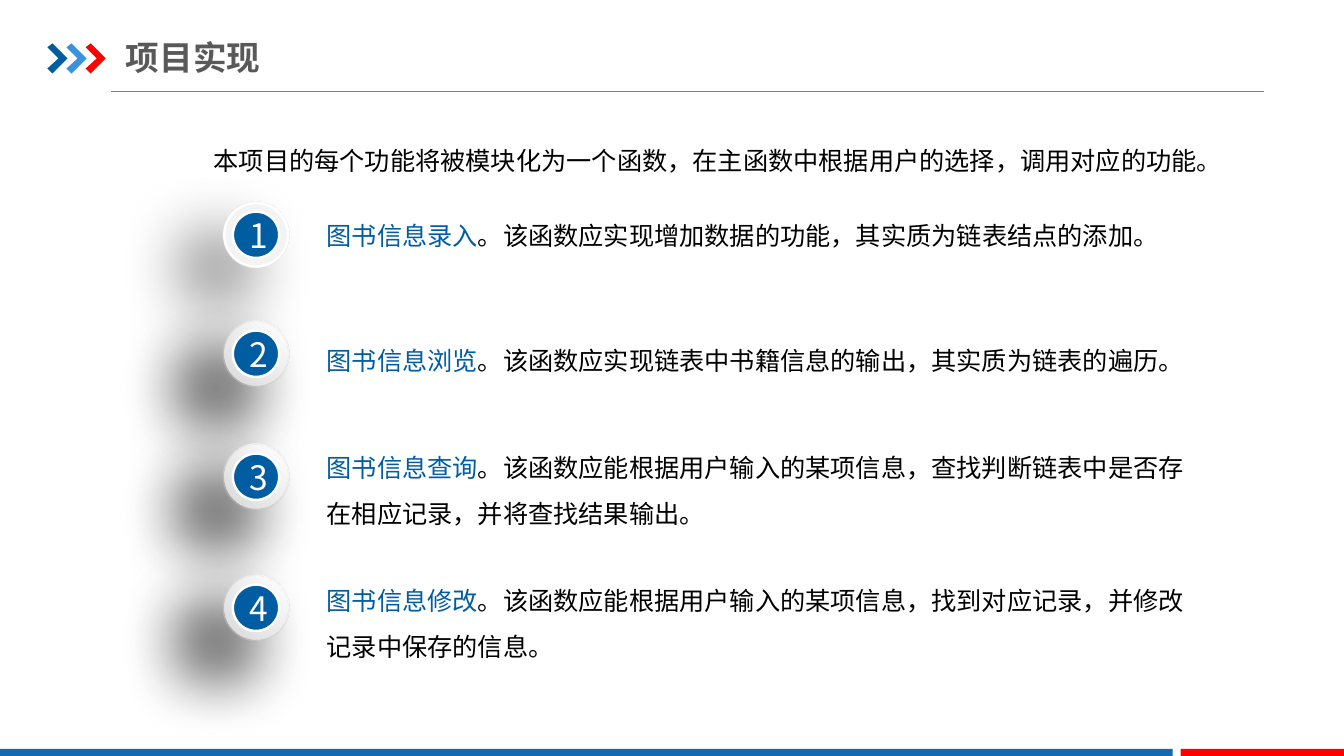
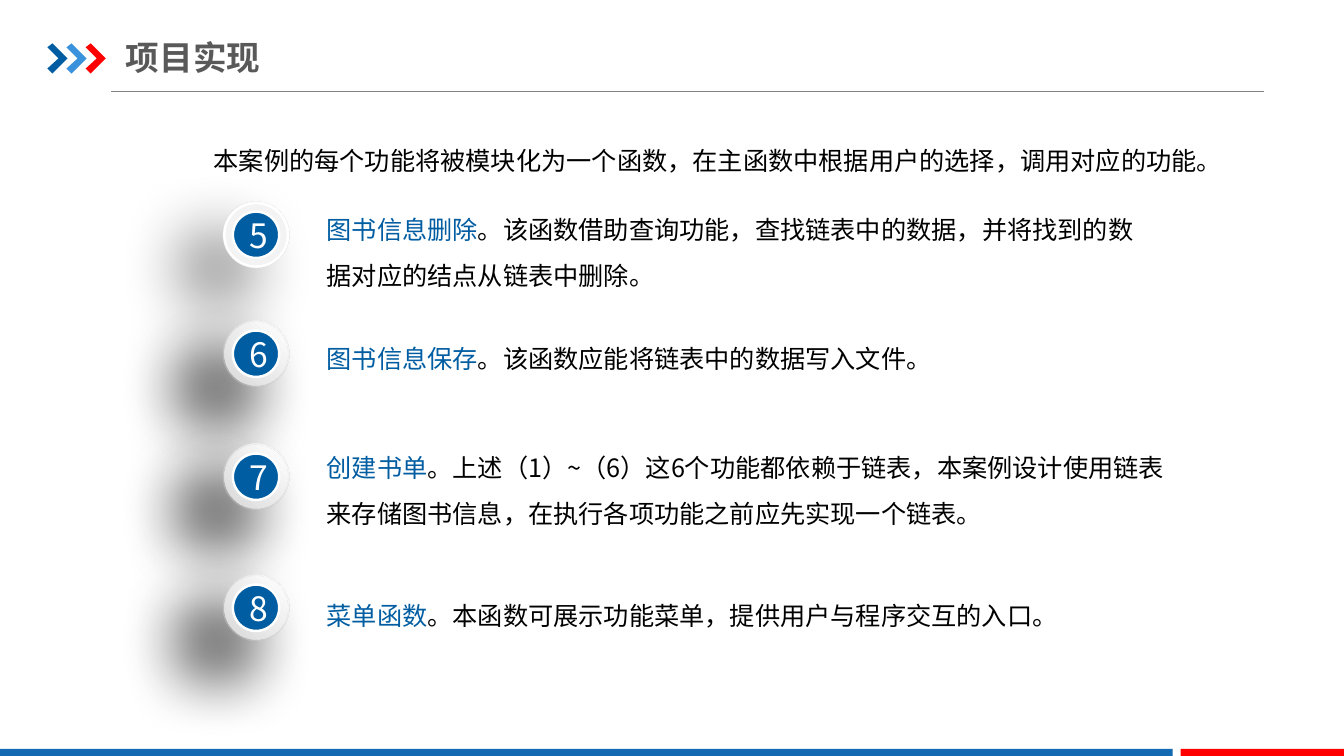
from lxml import etree
from pptx import Presentation
from pptx.dml.color import RGBColor
from pptx.enum.shapes import MSO_CONNECTOR, MSO_SHAPE
from pptx.enum.text import MSO_ANCHOR, PP_ALIGN
from pptx.oxml import parse_xml
from pptx.oxml.ns import nsdecls, qn
from pptx.util import Inches, Pt

FONT = "Noto Sans CJK SC"
BLUE = RGBColor(0x00, 0x5D, 0xA2)
LIGHT_BLUE = RGBColor(0x39, 0x92, 0xDB)
FOOTER_BLUE = RGBColor(0x13, 0x69, 0xB2)
RED = RGBColor(0xFF, 0x00, 0x00)
TITLE_GREY = RGBColor(0x59, 0x59, 0x59)
RULE_GREY = RGBColor(0x80, 0x80, 0x80)
RING_GREY = RGBColor(0xD9, 0xD9, 0xD9)
PALE_GREY = RGBColor(0xF3, 0xF3, 0xF3)
WHITE = RGBColor(0xFF, 0xFF, 0xFF)
BLACK = RGBColor(0x00, 0x00, 0x00)

TITLE = "项目实现"
BADGE_CENTER_X = 2.54
BADGE_CENTERS_Y = (2.33, 3.51, 4.73, 6.03)

# Each slide: intro, first number, items as (top, width, heading, description)
SLIDES = [
    ("本项目的每个功能将被模块化为一个函数，在主函数中根据用户的选择，调用对应的功能。", 1, [
        (1.97, 8.31, "图书信息录入", "。该函数应实现增加数据的功能，其实质为链表结点的添加。"),
        (3.21, 8.76, "图书信息浏览", "。该函数应实现链表中书籍信息的输出，其实质为链表的遍历。"),
        (4.27, 8.76, "图书信息查询",
         "。该函数应能根据用户输入的某项信息，查找判断链表中是否存在相应记录，并将查找结果输出。"),
        (5.59, 8.76, "图书信息修改",
         "。该函数应能根据用户输入的某项信息，找到对应记录，并修改记录中保存的信息。"),
    ]),
    ("本案例的每个功能将被模块化为一个函数，在主函数中根据用户的选择，调用对应的功能。", 5, [
        (1.91, 8.31, "图书信息删除",
         "。该函数借助查询功能，查找链表中的数据，并将找到的数据对应的结点从链表中删除。"),
        (3.19, 8.76, "图书信息保存", "。该函数应能将链表中的数据写入文件。"),
        (4.27, 8.76, "创建书单",
         "。上述（1）~（6）这6个功能都依赖于链表，本案例设计使用链表来存储图书信息，"
         "在执行各项功能之前应先实现一个链表。"),
        (5.74, 8.76, "菜单函数", "。本函数可展示功能菜单，提供用户与程序交互的入口。"),
    ]),
]


def add_run(p, text, size, color, bold=False):
    r = p.add_run()
    r.text = text
    r.font.size, r.font.name, r.font.bold = Pt(size), FONT, bold
    r.font.color.rgb = color
    etree.SubElement(r.font._element, qn("a:ea")).set("typeface", FONT)


def add_text(s, left, top, width, height, runs, size, inset=0.13,
             anchor=MSO_ANCHOR.TOP, spacing=None, bold=False):
    tf = s.shapes.add_textbox(Inches(left), Inches(top), Inches(width), Inches(height)).text_frame
    tf.word_wrap = True
    tf.vertical_anchor = anchor
    tf.margin_left = tf.margin_right = Inches(inset)
    tf.margin_top = tf.margin_bottom = Inches(0.07)
    p = tf.paragraphs[0]
    p.line_spacing = spacing
    for text, color in runs:
        add_run(p, text, size, color, bold)


def paint(sp, fill, line=None):
    sp.shadow.inherit = False
    sp.fill.solid()
    sp.fill.fore_color.rgb = fill
    if line is None:
        sp.line.fill.background()
    else:
        sp.line.color.rgb = line
        sp.line.width = Pt(1.75)


def paint_raised(sp):
    """Radial white-to-grey fill with a soft shadow at the lower left."""
    sp.line.fill.background()
    sp.fill.gradient()
    for stop, color in zip(sp.fill.gradient_stops, (WHITE, RING_GREY)):
        stop.color.rgb = color
    grad = sp._element.spPr.find(qn("a:gradFill"))
    grad.remove(grad.find(qn("a:lin")))
    grad.append(parse_xml(
        f'<a:path {nsdecls("a")} path="circle"><a:fillToRect l="100000" b="100000"/></a:path>'))
    sp.shadow.inherit = False
    sp._element.spPr.find(qn("a:effectLst")).append(parse_xml(
        f'<a:outerShdw {nsdecls("a")} blurRad="{Pt(50)}" dist="{Pt(37)}" dir="{140 * 60000}" '
        'algn="tr" rotWithShape="0"><a:srgbClr val="000000"><a:alpha val="61000"/>'
        '</a:srgbClr></a:outerShdw>'))


def add_circle(group, center_y, size):
    return group.shapes.add_shape(
        MSO_SHAPE.OVAL, Inches(BADGE_CENTER_X - size / 2), Inches(center_y - size / 2),
        Inches(size), Inches(size))


def add_badge(s, center_y, number, flat):
    group = s.shapes.add_group_shape()
    paint_raised(add_circle(group, center_y, 0.66))
    ring = add_circle(group, center_y, 0.63)
    if flat:
        paint(ring, PALE_GREY, WHITE)
    else:
        paint_raised(ring)
    disc = add_circle(group, center_y, 0.46)
    paint(disc, BLUE, WHITE)
    disc.text_frame.vertical_anchor = MSO_ANCHOR.MIDDLE
    p = disc.text_frame.paragraphs[0]
    p.alignment = PP_ALIGN.CENTER
    add_run(p, str(number), 24, WHITE)


def add_chevron(group, left, color):
    outline = [(0, 0.47), (0.05, 0.43), (0.2, 0.58), (0.05, 0.73), (0, 0.68), (0.11, 0.58)]
    points = [(Inches(left + x), Inches(y)) for x, y in outline]
    builder = group.shapes.build_freeform(*points[0])
    builder.add_line_segments(points[1:], close=True)
    paint(builder.convert_to_shape(), color)


def add_frame(s):
    # Rule under the title
    rule = s.shapes.add_connector(
        MSO_CONNECTOR.STRAIGHT, Inches(1.1), Inches(0.91), Inches(12.54), Inches(0.91))
    rule.line.color.rgb = RULE_GREY
    rule.line.width = Pt(0.75)
    etree.SubElement(rule._element.spPr, qn("a:effectLst"))
    # Chevrons
    group = s.shapes.add_group_shape()
    for i, color in enumerate((BLUE, LIGHT_BLUE, RED)):
        add_chevron(group, 0.47 + i * 0.19, color)
    # Footer bands
    for left, width, color in ((0, 11.63, FOOTER_BLUE), (11.71, 1.63, RED)):
        paint(s.shapes.add_shape(MSO_SHAPE.RECTANGLE, Inches(left), Inches(7.43),
                                 Inches(width), Inches(0.09)), color)
    # Title
    add_text(s, 1.25, 0.29, 9.27, 0.55, [(TITLE, TITLE_GREY)], 24, inset=0,
             anchor=MSO_ANCHOR.MIDDLE, bold=True)


def add_function_slide(prs, intro, first_number, items):
    s = prs.slides.add_slide(prs.slide_layouts[6])
    add_frame(s)
    for i, center_y in enumerate(BADGE_CENTERS_Y):
        add_badge(s, center_y, first_number + i, flat=i == 0)
    add_text(s, 1.99, 1.22, 10.36, 0.59, [(intro, BLACK)], 18, spacing=1.5)
    for top, width, heading, description in items:
        add_text(s, 3.11, top, width, 0.59, [(heading, BLUE), (description, BLACK)],
                 18, spacing=1.5)


def main():
    prs = Presentation()
    prs.slide_width, prs.slide_height = Inches(13.33), Inches(7.5)
    for intro, first_number, items in SLIDES:
        add_function_slide(prs, intro, first_number, items)
    prs.save("out.pptx")


if __name__ == "__main__":
    main()
